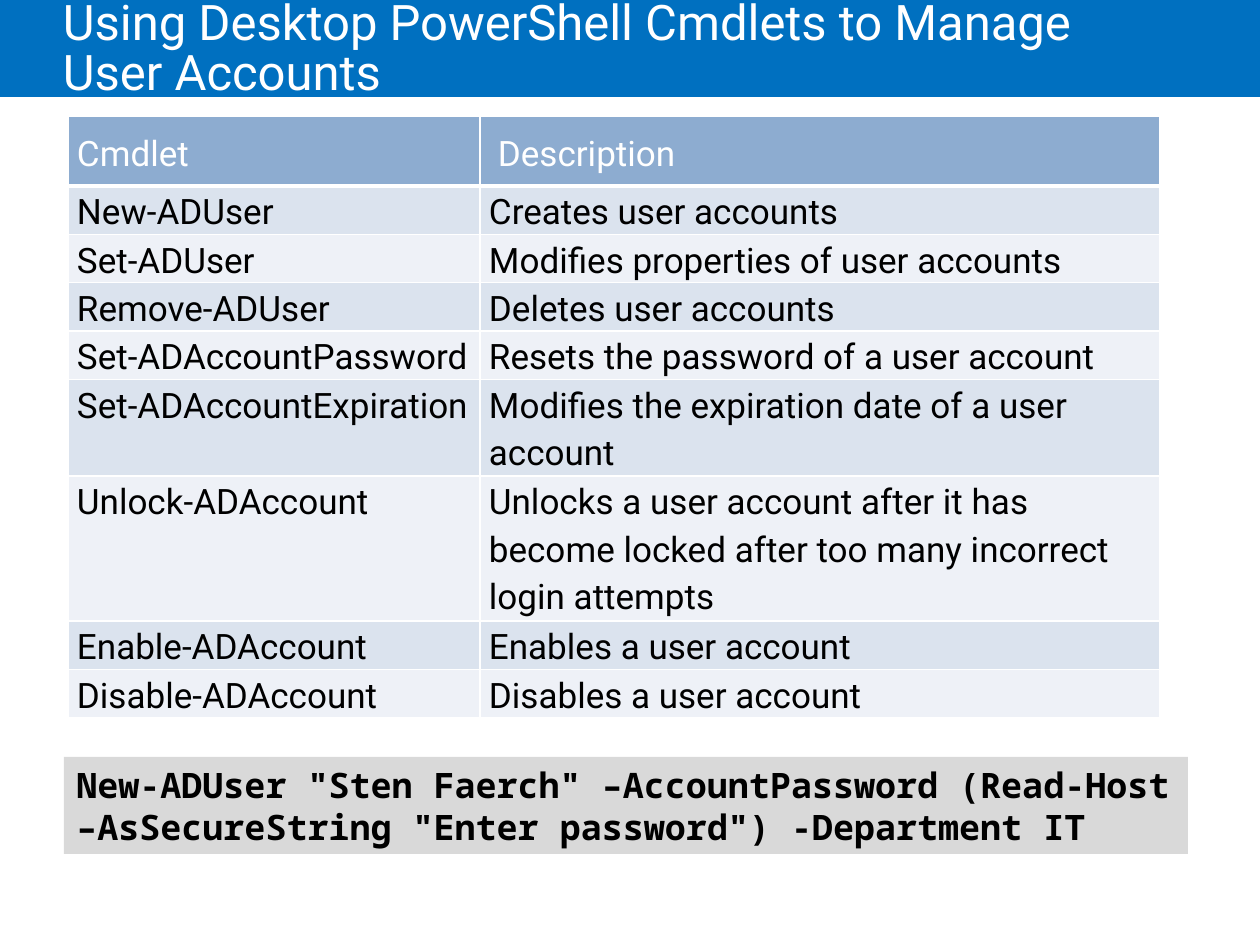
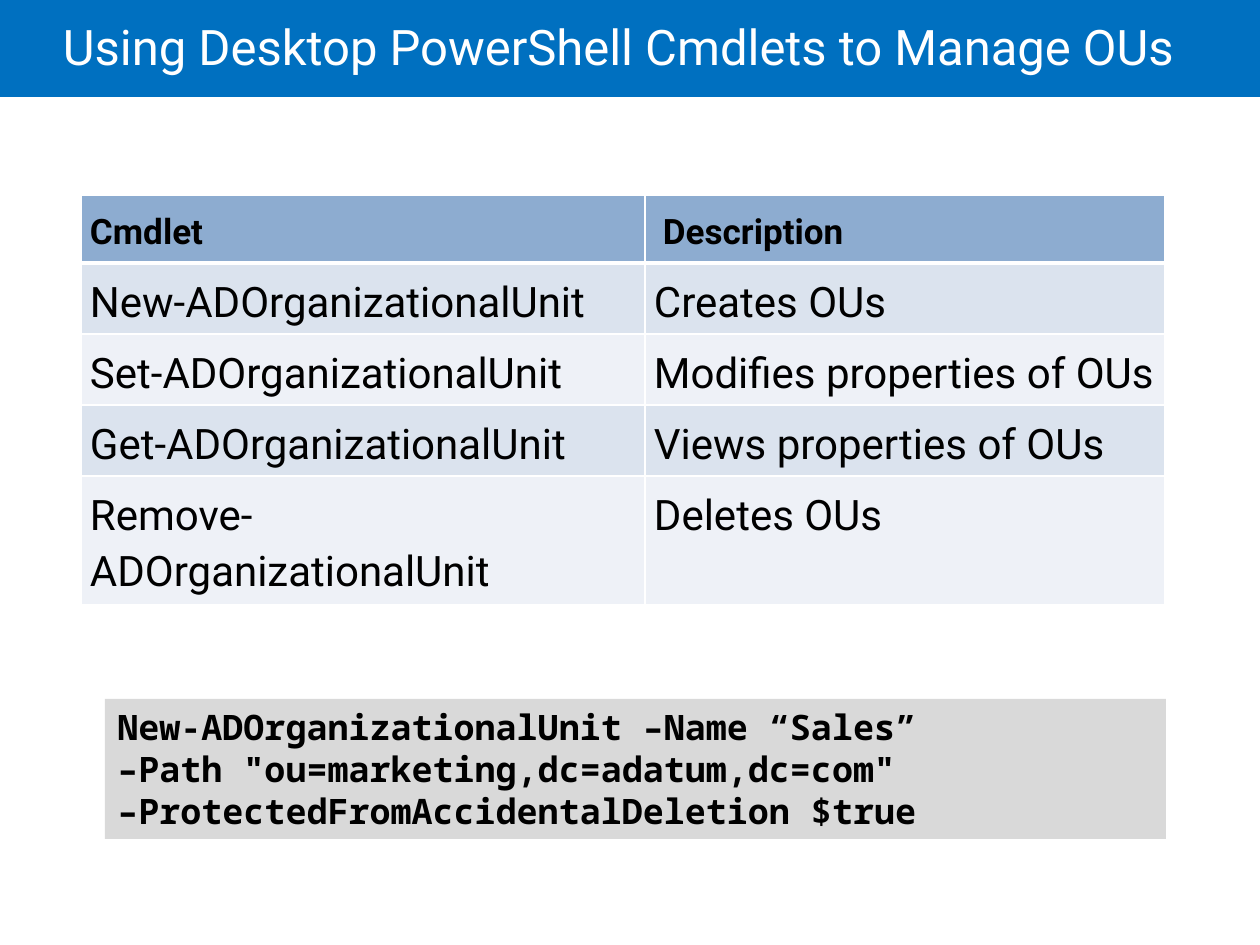
from dataclasses import dataclass

from lxml import etree
from pptx import Presentation
from pptx import util as u
from pptx.dml.color import RGBColor
from pptx.enum import shapes, text
from pptx.oxml import ns

PX_PER_INCH = 126
SLIDE_W, SLIDE_H = 1260, 945


@dataclass(frozen=True)
class Theme:
    band: str = "0070C0"
    header: str = "8DACD0"
    stripes: tuple = ("DBE3EE", "EEF1F7")
    code_fill: str = "D9D9D9"
    white: str = "FFFFFF"
    black: str = "000000"
    font: str = "Roboto"
    code_font: str = "Noto Sans Mono"
    title_size: int = 28
    header_size: int = 20
    code_size: int = 20


THEME = Theme()


def px(n):
    return u.Emu(round(n * 914400 / PX_PER_INCH))


def rgb(value):
    return RGBColor.from_string(value)


def set_margins(target, left, top, right, bottom):
    target.margin_left, target.margin_top = px(left), px(top)
    target.margin_right, target.margin_bottom = px(right), px(bottom)


def add_run(p, words, size, color, font=THEME.font, bold=False):
    r = p.add_run()
    r.text = words
    r.font.name, r.font.size, r.font.bold = font, u.Pt(size), bold
    r.font.color.rgb = rgb(color)


def add_block(slide, x, y, w, h, fill):
    sp = slide.shapes.add_shape(shapes.MSO_SHAPE.RECTANGLE,
                                px(x), px(y), px(w), px(h))
    sp.shadow.inherit = False
    sp.fill.solid()
    sp.fill.fore_color.rgb = rgb(fill)
    sp.line.fill.background()
    return sp


# Title over the full-width band
def add_title(slide, words, width):
    add_block(slide, 0, 0, SLIDE_W, 97, THEME.band)
    tf = slide.shapes.add_textbox(px(63), 0, px(width), px(102)).text_frame
    tf.word_wrap = True
    tf.vertical_anchor = text.MSO_ANCHOR.MIDDLE
    set_margins(tf, 0, 6, 13, 6)
    p = tf.paragraphs[0]
    p.line_spacing = 0.85
    add_run(p, words, THEME.title_size, THEME.white)


# White rules around a cell; they precede the fill in the cell properties
def set_borders(cell, bottom):
    tc_pr = cell._tc.get_or_add_tcPr()
    for i, (side, points) in enumerate(
            (("L", 1), ("R", 1), ("T", 1), ("B", bottom))):
        ln = etree.Element(ns.qn(f"a:ln{side}"), w=str(u.Pt(points)))
        solid = etree.SubElement(ln, ns.qn("a:solidFill"))
        etree.SubElement(solid, ns.qn("a:srgbClr"), val=THEME.white)
        tc_pr.insert(i, ln)


def fill_cell(cell, words, fill, size, color, margins, bold=False, bottom=1):
    cell.fill.solid()
    cell.fill.fore_color.rgb = rgb(fill)
    set_borders(cell, bottom)
    set_margins(cell, *margins)
    p = cell.text_frame.paragraphs[0]
    p.line_spacing = 1.15
    add_run(p, words, size, color, bold=bold)


def add_cmdlet_table(slide, x, y, widths, header_h, rows, size,
                     header_color, header_bold=False, pad_top=0, pad_bottom=0):
    row_h = 35
    table = slide.shapes.add_table(
        len(rows) + 1, 2, px(x), px(y), px(sum(widths)),
        px(header_h + row_h * len(rows))).table
    table.first_row = table.horz_banding = False
    for column, width in zip(table.columns, widths):
        column.width = px(width)
    for row in table.rows:
        row.height = px(row_h)
    table.rows[0].height = px(header_h)

    # The second heading is set in slightly further than its column
    for c, (words, left) in enumerate((("Cmdlet", 9), ("Description", 18))):
        cell = table.cell(0, c)
        fill_cell(cell, words, THEME.header, THEME.header_size, header_color,
                  (left, 0, 9, 0), header_bold, bottom=3)
        cell.vertical_anchor = text.MSO_ANCHOR.MIDDLE

    for i, row in enumerate(rows):
        for c, words in enumerate(row):
            fill_cell(table.cell(i + 1, c), words, THEME.stripes[i % 2], size,
                      THEME.black, (9, pad_top, 9, pad_bottom))


# Command example on grey
def add_code(slide, x, y, w, h, lines):
    tf = add_block(slide, x, y, w, h, THEME.code_fill).text_frame
    tf.word_wrap = True
    tf.vertical_anchor = text.MSO_ANCHOR.TOP
    p = tf.paragraphs[0]
    p.alignment = text.PP_ALIGN.LEFT
    for i, line in enumerate(lines):
        if i:
            p.add_line_break()
        add_run(p, line, THEME.code_size, THEME.black, THEME.code_font, True)


USER_CMDLETS = (
    ("New-ADUser", "Creates user accounts"),
    ("Set-ADUser", "Modifies properties of user accounts"),
    ("Remove-ADUser", "Deletes user accounts"),
    ("Set-ADAccountPassword", "Resets the password of a user account"),
    ("Set-ADAccountExpiration",
     "Modifies the expiration date of a user account"),
    ("Unlock-ADAccount", "Unlocks a user account after it has become locked "
                         "after too many incorrect login attempts"),
    ("Enable-ADAccount", "Enables a user account"),
    ("Disable-ADAccount", "Disables a user account"),
)
OU_CMDLETS = (
    ("New-ADOrganizationalUnit", "Creates OUs"),
    ("Set-ADOrganizationalUnit", "Modifies properties of OUs"),
    ("Get-ADOrganizationalUnit", "Views properties of OUs"),
    ("Remove-ADOrganizationalUnit", "Deletes OUs"),
)


def main():
    prs = Presentation()
    prs.slide_width, prs.slide_height = px(SLIDE_W), px(SLIDE_H)
    blank = prs.slide_layouts[6]

    # User accounts
    slide = prs.slides.add_slide(blank)
    add_title(slide, "Using Desktop PowerShell Cmdlets to Manage User Accounts",
              1071)
    add_cmdlet_table(slide, 68, 116, (412, 680), 70, USER_CMDLETS, 20,
                     THEME.white)
    add_code(slide, 64, 757, 1124, 97, (
        'New-ADUser "Sten Faerch" –AccountPassword (Read-Host',
        '–AsSecureString "Enter password") ‑Department IT'))

    # Organizational units
    slide = prs.slides.add_slide(blank)
    add_title(slide, "Using Desktop PowerShell Cmdlets to Manage OUs", 1162)
    add_cmdlet_table(slide, 81, 195, (564, 520), 68, OU_CMDLETS, 24,
                     THEME.black, header_bold=True, pad_top=8, pad_bottom=5)
    add_code(slide, 105, 699, 1061, 140, (
        "New-ADOrganizationalUnit –Name “Sales”",
        '–Path "ou=marketing,dc=adatum,dc=com"',
        "–ProtectedFromAccidentalDeletion $true"))

    prs.save("out.pptx")


if __name__ == "__main__":
    main()
